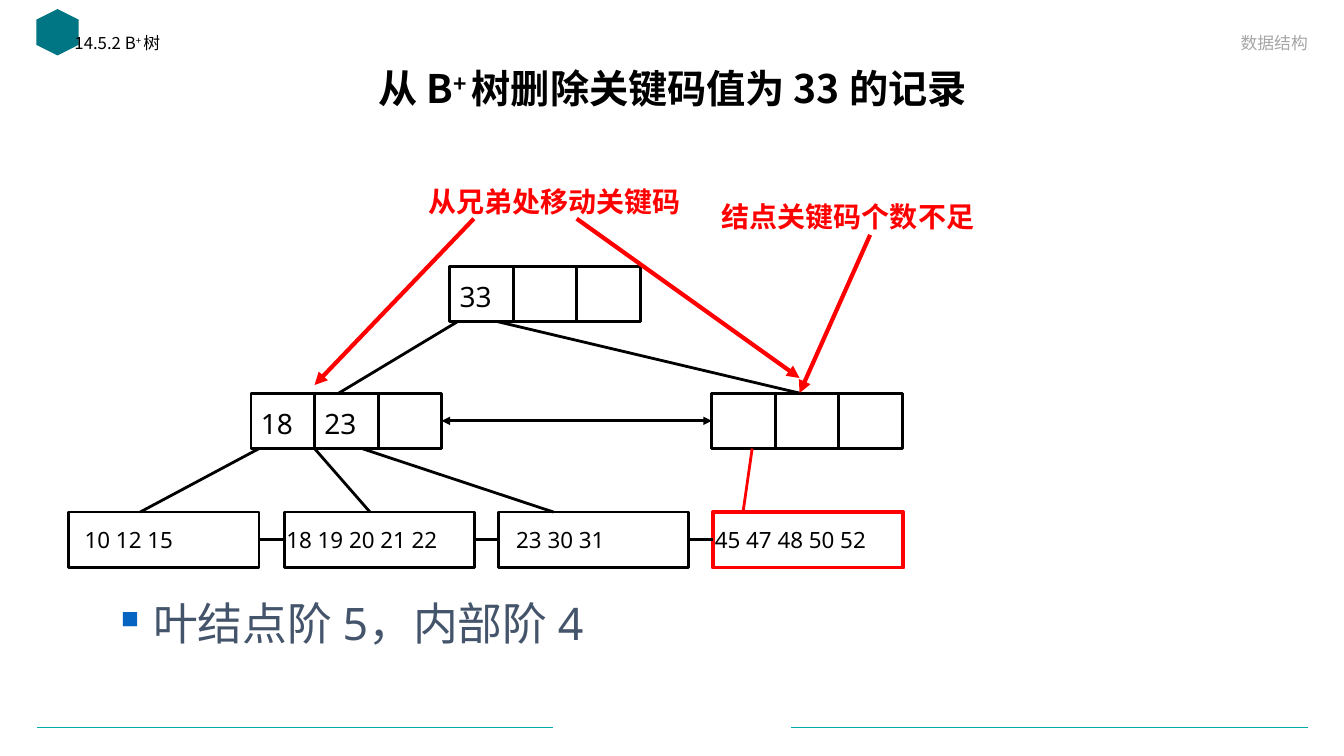
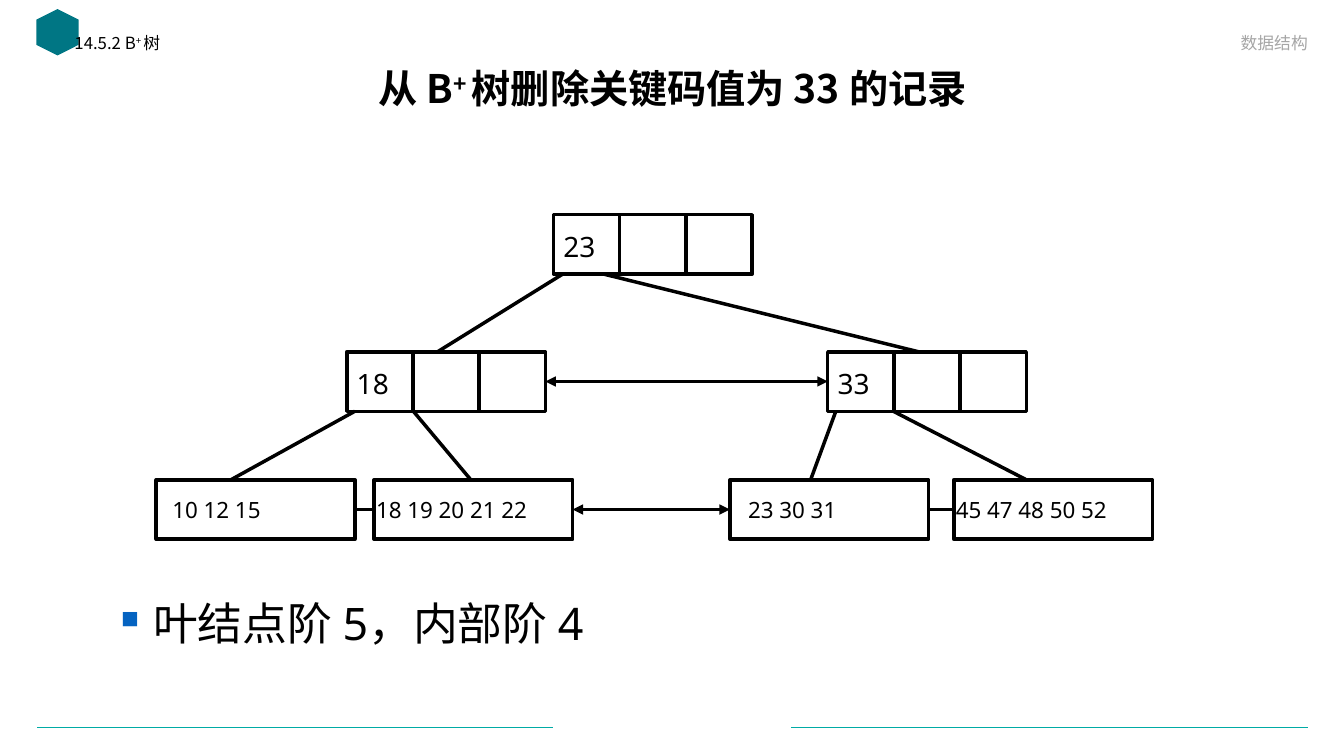
from dataclasses import dataclass

from lxml import etree
from pptx import Presentation
from pptx.dml.color import RGBColor
from pptx.enum.shapes import MSO_CONNECTOR, MSO_SHAPE
from pptx.enum.text import MSO_ANCHOR, PP_ALIGN
from pptx.oxml.ns import qn
from pptx.shapes.autoshape import Shape
from pptx.shapes.connector import Connector
from pptx.slide import Slide
from pptx.text.text import TextFrame
from pptx.util import Inches, Pt

STRAIGHT = MSO_CONNECTOR.STRAIGHT
RECTANGLE, HEXAGON = MSO_SHAPE.RECTANGLE, MSO_SHAPE.HEXAGON
TOP, MIDDLE, BOTTOM = MSO_ANCHOR.TOP, MSO_ANCHOR.MIDDLE, MSO_ANCHOR.BOTTOM
LEFT, CENTER, RIGHT = PP_ALIGN.LEFT, PP_ALIGN.CENTER, PP_ALIGN.RIGHT
LEFT_SIDE, RIGHT_SIDE = 1, 3


@dataclass(frozen=True)
class Theme:
    latin: str = "Noto Sans"
    chinese: str = "Noto Sans CJK SC"
    black: str = "000000"
    red: str = "FF0000"
    slate: str = "44546A"
    gray: str = "A6A6A6"
    teal: str = "00ABA5"
    dark_teal: str = "007684"
    bullet: str = "0563C1"
    title: int = 28
    header: int = 12
    note: int = 32
    key: int = 20
    leaf: int = 16
    rule: float = 0.5
    callout_line: float = 3


THEME = Theme()


@dataclass(frozen=True)
class Span:
    text: str
    superscript: bool = False


@dataclass(frozen=True)
class TextStyle:
    size: int
    color: str = THEME.black
    font: str = THEME.latin
    bold: bool = False
    align: PP_ALIGN = LEFT
    anchor: MSO_ANCHOR = TOP
    spacing: float = 1.0
    inset: float = 0.1


@dataclass(frozen=True)
class Node:
    """A tree node; a leaf has a single cell holding all its keys."""
    left: float
    top: float
    cells: tuple[str, ...]
    inset: float = 0.1
    color: str = THEME.black


@dataclass(frozen=True)
class Edge:
    """Parent-to-child line, with offsets from the left of each node."""
    parent: str
    start: float
    child: str
    end: float
    color: str = THEME.black


@dataclass(frozen=True)
class Sibling:
    left: str
    right: str
    arrows: bool = False


@dataclass(frozen=True)
class Callout:
    text: str
    left: float
    top: float
    arrows: tuple[tuple[float, float, float, float], ...]


@dataclass(frozen=True)
class Tree:
    width: float
    height: float
    line: float
    nodes: dict[str, Node]
    edges: tuple[Edge, ...]
    siblings: tuple[Sibling, ...]
    callouts: tuple[Callout, ...] = ()
    note_color: str = THEME.black


TITLE = (Span("从 B"), Span("+ ", True), Span("树删除关键码值为 33 的记录"))
SECTION = (Span("14.5.2 B"), Span("+ ", True), Span("树"))
COURSE = (Span("数据结构"),)
NOTE = (Span("叶结点阶 5，内部阶 4"),)

BEFORE = Tree(
    width=1.89, height=0.55, line=2, note_color=THEME.slate,
    nodes={
        "root": Node(4.46, 2.64, ("33", "", "")),
        "inner 1": Node(2.49, 3.9, ("18", "23", "")),
        "inner 2": Node(7.06, 3.9, ("", "", "")),
        "leaf 1": Node(0.68, 5.08, ("10 12 15",), 0.16),
        "leaf 2": Node(2.82, 5.08, ("18 19 20 21 22",), 0.02),
        "leaf 3": Node(4.94, 5.08, ("23 30 31",), 0.18),
        "leaf 4": Node(7.07, 5.08, ("45 47 48 50 52",), 0.02, THEME.red),
    },
    edges=(
        Edge("root", 0.08, "inner 1", 0.87),
        Edge("root", 0.47, "inner 2", 0.87),
        Edge("inner 1", 0.08, "leaf 1", 0.71),
        Edge("inner 1", 0.63, "leaf 2", 0.85),
        Edge("inner 1", 1.1, "leaf 3", 0.55),
        Edge("inner 2", 0.4, "leaf 4", 0.3, THEME.red),
    ),
    siblings=(
        Sibling("inner 1", "inner 2", True),
        Sibling("leaf 1", "leaf 2"),
        Sibling("leaf 2", "leaf 3"),
        Sibling("leaf 3", "leaf 4"),
    ),
    callouts=(
        Callout("结点关键码个数不足", 7.06, 1.93, ((8.63, 2.33, 7.93, 3.9),)),
        Callout("从兄弟处移动关键码", 4.15, 1.78,
                ((5.72, 2.17, 7.93, 3.75), (4.7, 2.17, 3.12, 3.82))),
    ),
)

AFTER = Tree(
    width=1.97, height=0.59, line=2.5,
    nodes={
        "root": Node(5.49, 2.13, ("23", "", "")),
        "inner 1": Node(3.44, 3.49, ("18", "", "")),
        "inner 2": Node(8.21, 3.49, ("33", "", "")),
        "leaf 1": Node(1.55, 4.76, ("10 12 15",), 0.16),
        "leaf 2": Node(3.71, 4.76, ("18 19 20 21 22",), 0.02),
        "leaf 3": Node(7.24, 4.76, ("23 30 31",), 0.18),
        "leaf 4": Node(9.46, 4.76, ("45 47 48 50 52",), 0.02),
    },
    edges=(
        Edge("root", 0.09, "inner 1", 0.9),
        Edge("root", 0.5, "inner 2", 0.9),
        Edge("inner 1", 0.08, "leaf 1", 0.74),
        Edge("inner 1", 0.66, "leaf 2", 0.96),
        Edge("inner 2", 0.08, "leaf 3", 0.8),
        Edge("inner 2", 0.65, "leaf 4", 0.72),
    ),
    siblings=(
        Sibling("inner 1", "inner 2", True),
        Sibling("leaf 1", "leaf 2"),
        Sibling("leaf 2", "leaf 3", True),
        Sibling("leaf 3", "leaf 4"),
    ),
)


def rgb(color: str) -> RGBColor:
    return RGBColor.from_string(color)


def write_text(frame: TextFrame, spans: tuple[Span, ...], style: TextStyle) -> None:
    frame.word_wrap = True
    frame.vertical_anchor = style.anchor
    frame.margin_left = Inches(style.inset)
    frame.margin_right = Inches(min(style.inset, 0.1))
    para = frame.paragraphs[0]
    para.alignment = style.align
    para.line_spacing = style.spacing
    for span in spans:
        run = para.add_run()
        run.text = span.text
        font = run.font
        font.size, font.bold, font.name = Pt(style.size), style.bold, style.font
        font.color.rgb = rgb(style.color)
        properties = run._r.get_or_add_rPr()
        etree.SubElement(properties, qn("a:ea"), typeface=THEME.chinese)
        if span.superscript:
            properties.set("baseline", "30000")


def add_text(page: Slide, left: float, top: float, width: float, height: float,
             spans: tuple[Span, ...], style: TextStyle) -> Shape:
    box = page.shapes.add_textbox(Inches(left), Inches(top), Inches(width), Inches(height))
    write_text(box.text_frame, spans, style)
    return box


def add_line(page: Slide, x1: float, y1: float, x2: float, y2: float,
             color: str, weight: float, head: bool = False, tail: bool = False) -> Connector:
    """Head puts an arrowhead at the start, tail at the end."""
    line = page.shapes.add_connector(STRAIGHT, Inches(x1), Inches(y1), Inches(x2), Inches(y2))
    line.line.color.rgb = rgb(color)
    line.line.width = Pt(weight)
    outline = line.line._get_or_add_ln()
    for tag, wanted in (("a:headEnd", head), ("a:tailEnd", tail)):
        if wanted:
            etree.SubElement(outline, qn(tag), type="triangle")
    etree.SubElement(line._element.spPr, qn("a:effectLst"))
    return line


def add_frame(page: Slide) -> None:
    """Draw the header, title and footer rules that every page carries."""
    for start, end in ((0.37, 5.48), (7.85, 12.97)):
        add_line(page, start, 7.22, end, 7.22, THEME.teal, THEME.rule)
    mark = page.shapes.add_shape(HEXAGON, Inches(0.34), Inches(0.11), Inches(0.46), Inches(0.42))
    mark.rotation = 90
    mark.shadow.inherit = False
    mark.fill.solid()
    mark.fill.fore_color.rgb = rgb(THEME.dark_teal)
    mark.line.fill.background()
    add_text(page, 0.92, 0.62, 11.5, 0.57, TITLE, TextStyle(
        THEME.title, font=THEME.chinese, bold=True, align=CENTER, anchor=MIDDLE, spacing=0.9))
    add_text(page, 0.64, 0.3, 5.32, 0.36, SECTION, TextStyle(
        THEME.header, font=THEME.chinese, spacing=0.9))
    add_text(page, 7.43, 0.22, 5.64, 0.35, COURSE, TextStyle(
        THEME.header, THEME.gray, THEME.chinese, align=RIGHT, anchor=BOTTOM))


def add_note(page: Slide, color: str) -> None:
    box = add_text(page, 1.1, 5.86, 5.94, 0.64, NOTE, TextStyle(THEME.note, color))
    properties = box.text_frame.paragraphs[0]._p.get_or_add_pPr()
    hanging = Inches(0.32)
    properties.set("marL", str(hanging))
    properties.set("indent", str(-hanging))
    bullet_color = etree.SubElement(properties, qn("a:buClr"))
    etree.SubElement(bullet_color, qn("a:srgbClr"), val=THEME.bullet)
    etree.SubElement(properties, qn("a:buSzPct"), val="55000")
    etree.SubElement(properties, qn("a:buChar"), char="■")


def add_node(page: Slide, tree: Tree, node: Node) -> Shape:
    box = page.shapes.add_shape(RECTANGLE, Inches(node.left), Inches(node.top),
                                Inches(tree.width), Inches(tree.height))
    box.shadow.inherit = False
    box.fill.background()
    box.line.color.rgb = rgb(node.color)
    box.line.width = Pt(tree.line if node.color == THEME.black else 2.75)
    if len(node.cells) == 1:
        write_text(box.text_frame, (Span(node.cells[0]),),
                   TextStyle(THEME.leaf, anchor=MIDDLE, inset=node.inset))
        return box
    cell_width = tree.width / len(node.cells)
    for index, key in enumerate(node.cells):
        left = node.left + index * cell_width
        if index:
            add_line(page, left, node.top, left, node.top + tree.height, node.color, tree.line)
        if key:
            add_text(page, left, node.top + 0.02, cell_width, tree.height, (Span(key),),
                     TextStyle(THEME.key, anchor=MIDDLE, inset=node.inset))
    return box


def add_tree(page: Slide, tree: Tree) -> None:
    boxes = {name: add_node(page, tree, node) for name, node in tree.nodes.items()}
    for edge in tree.edges:
        parent, child = tree.nodes[edge.parent], tree.nodes[edge.child]
        add_line(page, parent.left + edge.start, parent.top + tree.height,
                 child.left + edge.end, child.top, edge.color, tree.line)
    for pair in tree.siblings:
        link = add_line(page, 0, 0, 1, 0, THEME.black, tree.line, pair.arrows, pair.arrows)
        link.begin_connect(boxes[pair.left], RIGHT_SIDE)
        link.end_connect(boxes[pair.right], LEFT_SIDE)
    for callout in tree.callouts:
        add_text(page, callout.left, callout.top, 3, 0.44, (Span(callout.text),),
                 TextStyle(THEME.key, THEME.red, bold=True))
        for arrow in callout.arrows:
            add_line(page, *arrow, THEME.red, THEME.callout_line, tail=True)


def main() -> None:
    deck = Presentation()
    deck.slide_width, deck.slide_height = Inches(13.33), Inches(7.5)
    blank = deck.slide_layouts[6]
    for tree in (BEFORE, AFTER):
        page = deck.slides.add_slide(blank)
        add_frame(page)
        add_note(page, tree.note_color)
        add_tree(page, tree)
    deck.save("out.pptx")


if __name__ == "__main__":
    main()
